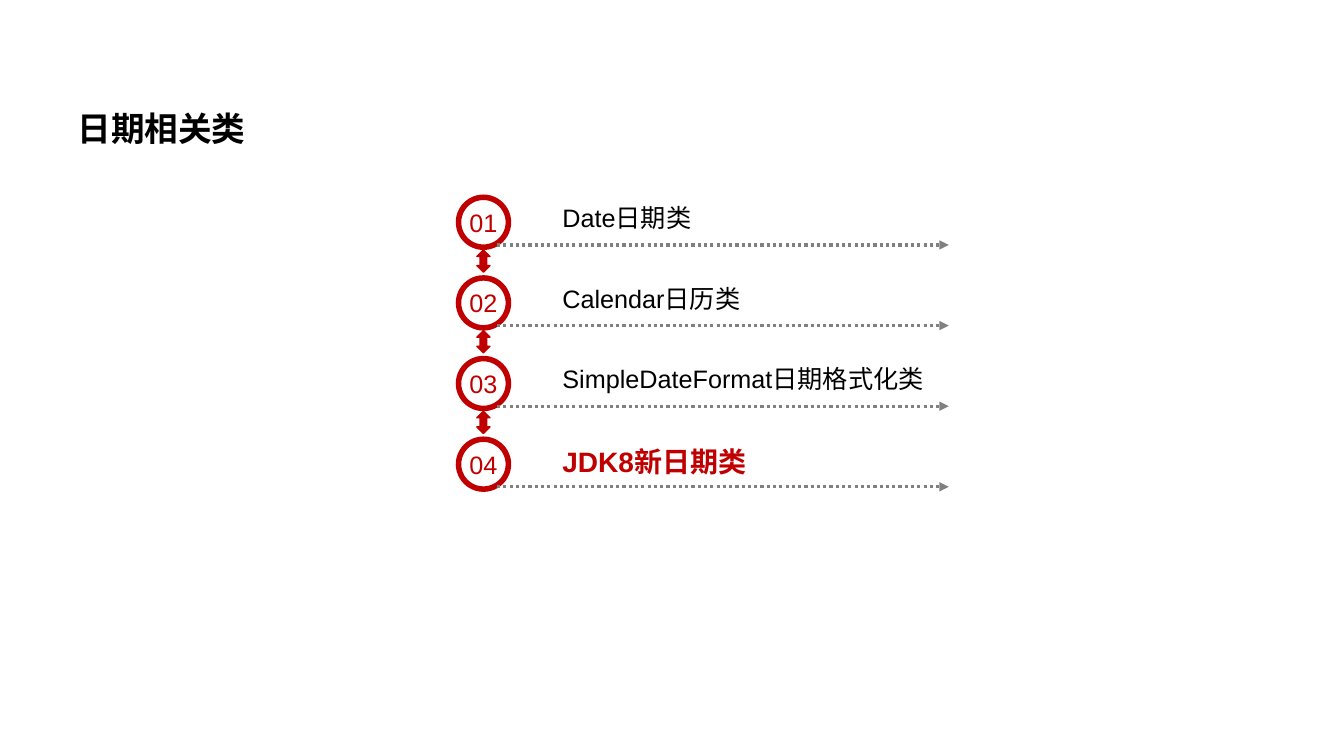
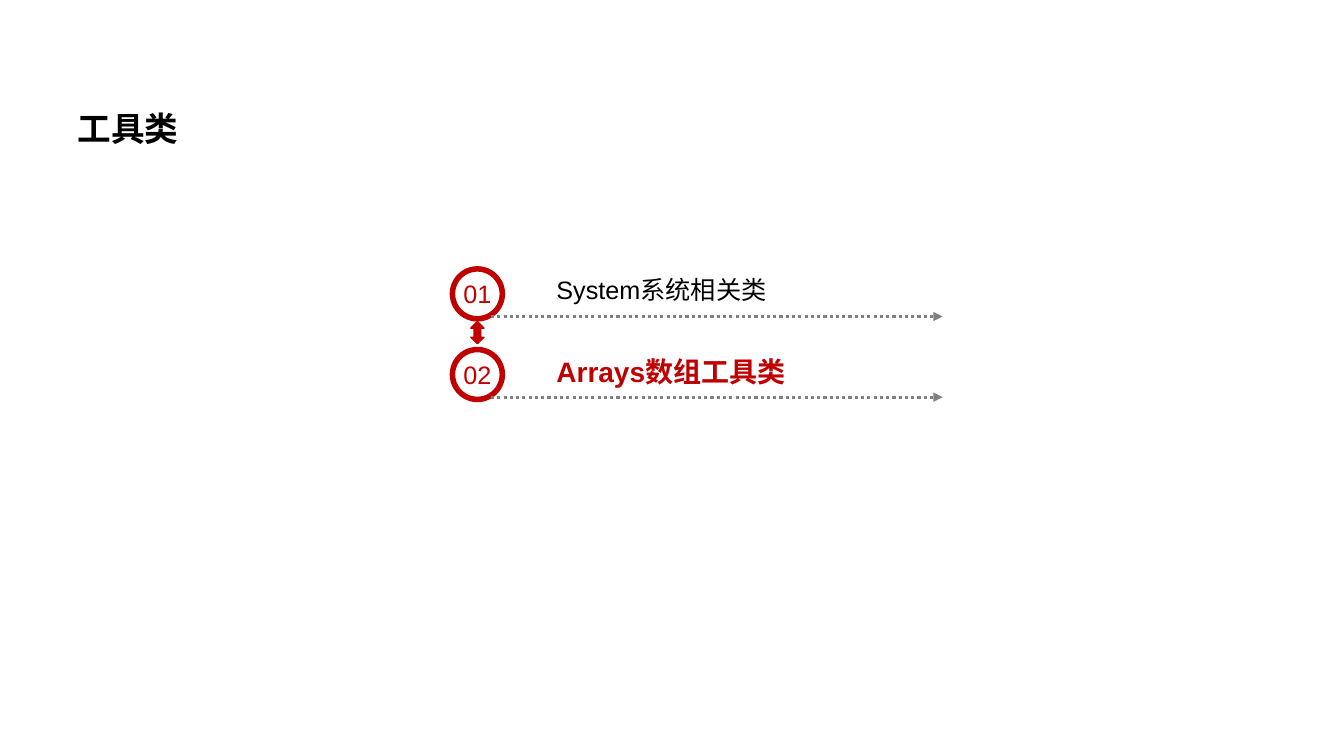
from lxml.etree import SubElement
from pptx import Presentation
from pptx.dml.color import RGBColor
from pptx.enum.dml import MSO_LINE
from pptx.enum.shapes import MSO_CONNECTOR, MSO_SHAPE
from pptx.enum.text import MSO_ANCHOR, PP_ALIGN
from pptx.oxml.ns import qn
from pptx.util import Pt

PX = 9144
RED = RGBColor(0xC0, 0x00, 0x00)
GRAY = RGBColor(0x80, 0x80, 0x80)
BLACK = RGBColor(0x00, 0x00, 0x00)
FONT = "Arial"
RING = 55
PITCH = 80

AGENDAS = [
    ("日期相关类", 452, 193,
     ["Date日期类", "Calendar日历类", "SimpleDateFormat日期格式化类", "JDK8新日期类"]),
    ("工具类", 446, 264, ["System系统相关类", "Arrays数组工具类"]),
]


def px(*lengths):
    """Turn px lengths into EMU."""
    return [n * PX for n in lengths]


def style(p, size, color, bold=False):
    """Set the font of a paragraph."""
    p.font.name = FONT
    p.font.size = Pt(size)
    p.font.bold = bold
    p.font.color.rgb = color


def add_text(s, box, text, size, color, bold=False):
    """Add a one-paragraph text box and return its paragraph."""
    tf = s.shapes.add_textbox(*px(*box)).text_frame
    tf.word_wrap = True
    p = tf.paragraphs[0]
    p.text = text
    style(p, size, color, bold)
    return p


def add_solid(s, kind, box):
    """Add a red preset shape without a shadow."""
    sp = s.shapes.add_shape(kind, *px(*box))
    sp.shadow.inherit = False
    sp.fill.solid()
    sp.fill.fore_color.rgb = RED
    return sp


def add_ring(s, x, y, number):
    """Add a ring with its number inside."""
    sp = add_solid(s, MSO_SHAPE.DONUT, (x, y, RING, RING))
    sp.adjustments[0] = 0.1
    sp.line.fill.background()
    tf = sp.text_frame
    tf.margin_left = tf.margin_right = tf.margin_top = tf.margin_bottom = 0
    tf.word_wrap = False
    tf.vertical_anchor = MSO_ANCHOR.MIDDLE
    p = tf.paragraphs[0]
    p.text = f"{number:02d}"
    p.alignment = PP_ALIGN.CENTER
    style(p, 18, RED)


def add_link(s, x, y):
    """Add the double arrow between two rings."""
    sp = add_solid(s, MSO_SHAPE.UP_DOWN_ARROW, (x, y, 13, 22))
    sp.line.color.rgb = RED
    sp.line.width = Pt(1)


def add_dotted_arrow(s, x, y, width):
    """Add a dotted horizontal arrow."""
    line = s.shapes.add_connector(MSO_CONNECTOR.STRAIGHT, *px(x, y, x + width, y))
    line.line.color.rgb = GRAY
    line.line.width = Pt(2.25)
    line.line.dash_style = MSO_LINE.ROUND_DOT
    SubElement(line.line._get_or_add_ln(), qn("a:tailEnd"), type="triangle")
    SubElement(line._element.spPr, qn("a:effectLst"))


def add_agenda(s, x, top, items):
    """Add the numbered items, with the last one highlighted."""
    for i, item in enumerate(items):
        y = top + i * PITCH
        current = i == len(items) - 1
        add_ring(s, x, y, i + 1)
        add_dotted_arrow(s, x + 41, y + 50, 448)
        size, color = (20, RED) if current else (18, BLACK)
        add_text(s, (x + 96, y + 3, 396, 40), item, size, color, current)
        if not current:
            add_link(s, x + 21, y + RING)


def main():
    """Build and save the slides."""
    prs = Presentation()
    prs.slide_width, prs.slide_height = px(1333, 750)
    for title, x, top, items in AGENDAS:
        s = prs.slides.add_slide(prs.slide_layouts[6])
        p = add_text(s, (67, 82, 1174, 63), title, 24, BLACK, True)
        p.line_spacing = 1.5
        add_agenda(s, x, top, items)
    prs.save("out.pptx")


if __name__ == "__main__":
    main()
